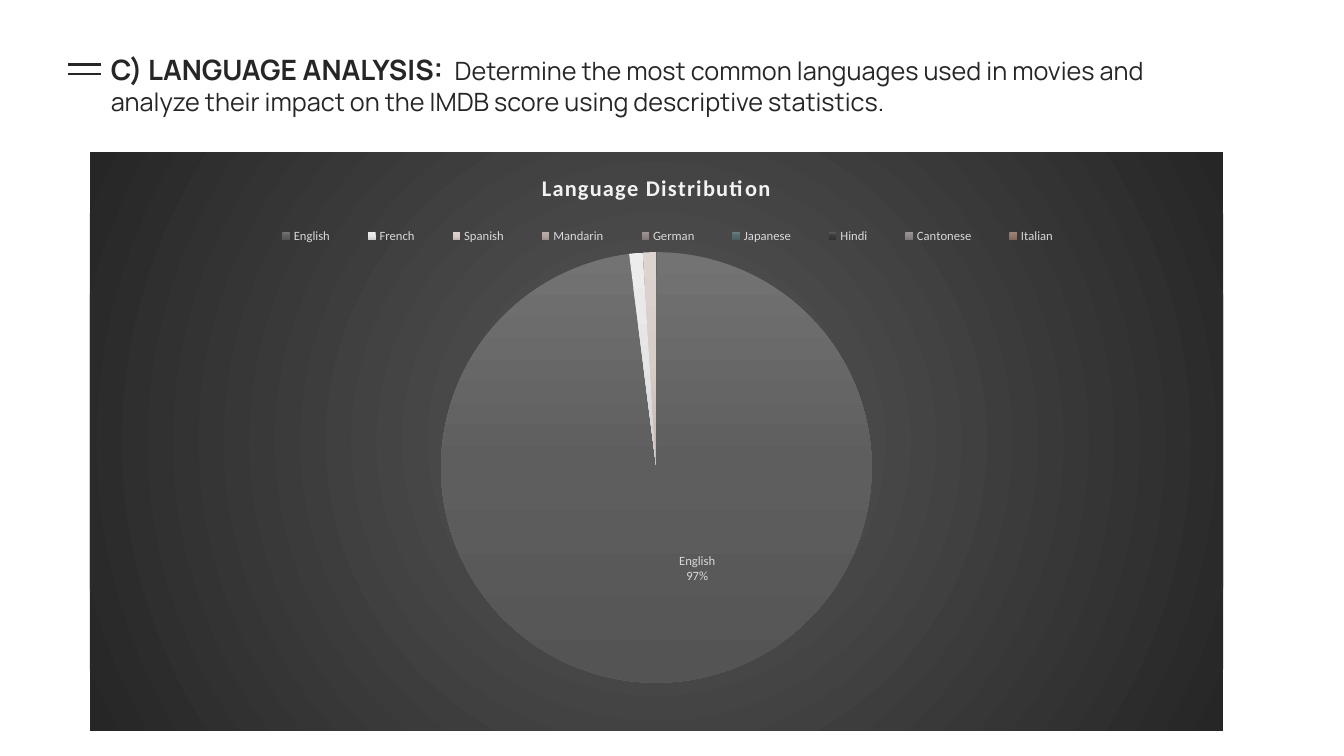
from lxml import etree
from pptx import Presentation
from pptx.chart.data import CategoryChartData
from pptx.dml.color import RGBColor
from pptx.enum.chart import XL_CHART_TYPE, XL_LABEL_POSITION, XL_LEGEND_POSITION
from pptx.enum.shapes import MSO_CONNECTOR
from pptx.oxml import parse_xml
from pptx.oxml.ns import nsdecls, qn
from pptx.util import Inches, Pt

LINEAR = '<a:lin ang="5400000" scaled="0"/>'
RADIAL = '<a:path path="circle"><a:fillToRect l="50000" t="50000" r="50000" b="50000"/></a:path>'
INK, PALE = "262626", "D9D9D9"

# language, share in whole percent, gradient from top to bottom
LANGUAGES = [
    ("English", 97, ("737373", "5E5E5E", "545454")),
    ("French", 1, ("EDECEC", "E7E6E6", "CDCCCC")),
    ("Spanish", 1, ("DDD4D0", "D8CDC7", "C1B6B0")),
    ("Mandarin", 0, ("B8AFAB", "B0A59F", "9D928D")),
    ("German", 0, ("9D9494", "928787", "827777")),
    ("Japanese", 0, ("6C7B7B", "546A6A", "4A5F5F")),
    ("Hindi", 0, ("5A5A5A", "383838", "323232")),
    ("Cantonese", 0, ("999595", "8D8888", "7D7878")),
    ("Italian", 0, ("9D867B", "927567", "84685A")),
]


def style_font(font, name, size, colour, bold=False):
    font.name, font.size, font.bold = name, Pt(size), bold
    font.color.rgb = RGBColor.from_string(colour)


def gradient(colours, direction):
    """Return a gradient fill with evenly spaced stops."""
    stops = "".join(
        f'<a:gs pos="{100000 * i // (len(colours) - 1)}"><a:srgbClr val="{colour}"/></a:gs>'
        for i, colour in enumerate(colours))
    return parse_xml(f'<a:gradFill {nsdecls("a")} rotWithShape="1">'
                     f'<a:gsLst>{stops}</a:gsLst>{direction}</a:gradFill>')


deck = Presentation()
deck.slide_width, deck.slide_height = Inches(13.33), Inches(7.5)
page = deck.slides.add_slide(deck.slide_layouts[6])

# Double rule beside the heading
for y in (0.64, 0.73):
    rule = page.shapes.add_connector(
        MSO_CONNECTOR.STRAIGHT, Inches(0.67), Inches(y), Inches(1), Inches(y))
    rule.line.color.rgb = RGBColor.from_string(INK)
    rule.line.width = Pt(1.5)
    etree.SubElement(rule._element.spPr, qn("a:effectLst"))

# Heading
box = page.shapes.add_textbox(Inches(1), Inches(0.47), Inches(11.32), Inches(1.26))
box.text_frame.word_wrap = True
para = box.text_frame.paragraphs[0]
para.line_spacing = 1.0
for text, size, bold in (
    ("C) LANGUAGE ANALYSIS:  ", 20, True),
    ("Determine the most common languages used in movies and analyze their impact "
     "on the IMDB score using descriptive statistics.", 18, False),
):
    span = para.add_run()
    span.text = text
    style_font(span.font, "Manrope", size, INK, bold)

# Pie chart
data = CategoryChartData()
data.categories = [name for name, share, colours in LANGUAGES]
data.add_series("Series 1", [share for name, share, colours in LANGUAGES])
chart = page.shapes.add_chart(
    XL_CHART_TYPE.PIE, Inches(0.89), Inches(1.51), Inches(11.24), Inches(5.74), data).chart
style_font(chart.font, "Calibri", 10, "000000")
backdrop = parse_xml(f'<c:spPr {nsdecls("c", "a")}><a:ln><a:noFill/></a:ln></c:spPr>')
backdrop.insert(0, gradient(("595959", INK), RADIAL))
chart._chartSpace.find(qn("c:chart")).addnext(backdrop)

chart.has_title = True
title = chart.chart_title.text_frame.paragraphs[0]
span = title.add_run()
span.text = "Language Distribution"
style_font(span.font, "Calibri", 16, "F2F2F2", True)
span.font._element.set("spc", "100")

chart.has_legend = True
chart.legend.position = XL_LEGEND_POSITION.TOP
chart.legend.include_in_layout = False
style_font(chart.legend.font, "Calibri", 9, PALE)
legend = chart.legend._element
for old_layout in legend.findall(qn("c:layout")):
    legend.remove(old_layout)
legend.find(qn("c:legendPos")).addnext(parse_xml(
    f'<c:layout {nsdecls("c")}><c:manualLayout>'
    '<c:xMode val="edge"/><c:yMode val="edge"/><c:x val="0.14"/><c:y val="0.12"/>'
    '<c:w val="0.74"/><c:h val="0.05"/></c:manualLayout></c:layout>'))

plot_area = chart._chartSpace.find(".//" + qn("c:plotArea"))
for old_layout in plot_area.findall(qn("c:layout")):
    plot_area.remove(old_layout)
plot_area.insert(0, parse_xml(
    f'<c:layout {nsdecls("c")}><c:manualLayout><c:layoutTarget val="inner"/>'
    '<c:xMode val="edge"/><c:yMode val="edge"/><c:x val="0.31"/><c:y val="0.17"/>'
    '<c:w val="0.38"/><c:h val="0.75"/></c:manualLayout></c:layout>'))

plot = chart.plots[0]
plot.vary_by_categories = True
pie = plot.series[0]
for i, (name, share, colours) in enumerate(LANGUAGES):
    point = pie.points[i]
    point.format.line.fill.background()
    slice_style = pie._element.findall(qn("c:dPt"))[i].find(qn("c:spPr"))
    slice_style.insert(0, gradient(colours, LINEAR))

# Only the English slice carries a label: its name and its share
pie.data_labels.show_value = False
english = pie.points[0].data_label
style_font(english.font, "Calibri", 9, PALE)
english.position = XL_LABEL_POSITION.CENTER
label = pie._element.find(".//" + qn("c:dLbl"))
for part in ("LegendKey", "Val", "CatName", "SerName", "Percent", "BubbleSize"):
    flag = label.find(qn("c:show" + part))
    if flag is not None:
        flag.set("val", "1" if part in ("CatName", "Val") else "0")
label_layout = parse_xml(
    f'<c:layout {nsdecls("c")}><c:manualLayout><c:x val="0.03"/><c:y val="-0.01"/>'
    '</c:manualLayout></c:layout>')
label.find(qn("c:idx")).addnext(label_layout)
label_layout.addnext(parse_xml(
    f'<c:numFmt {nsdecls("c")} formatCode="0&quot;%&quot;" sourceLinked="0"/>'))
etree.SubElement(label, qn("c:separator")).text = "\n"

deck.save("out.pptx")
